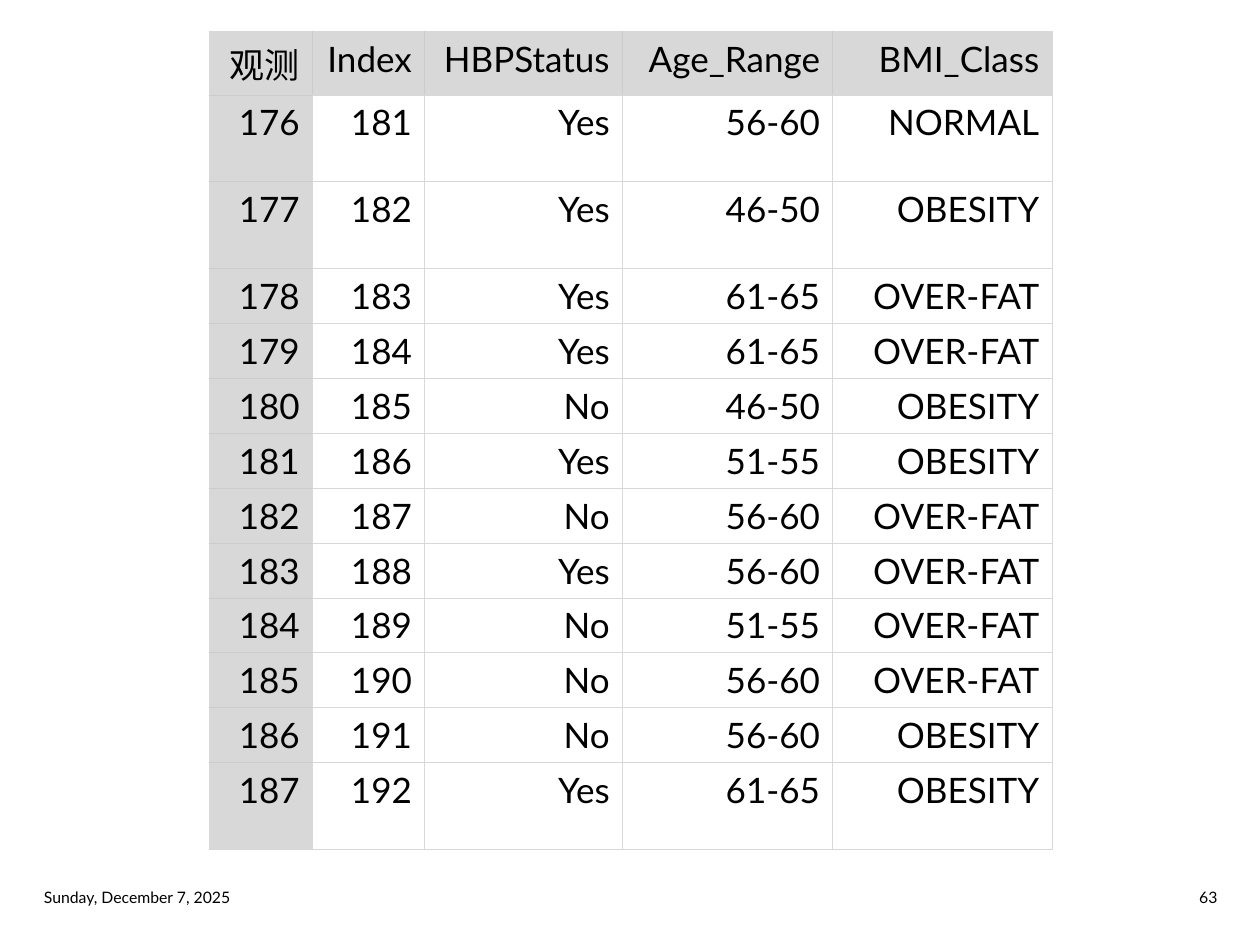
from dataclasses import dataclass

from lxml.etree import SubElement
from pptx import Presentation
from pptx.dml.color import RGBColor
from pptx.enum.text import MSO_ANCHOR, PP_ALIGN
from pptx.oxml.ns import qn
from pptx.util import Inches, Pt

FONT = "Lato"
COLORS = {"text": "000000", "header": "D8D8D8", "grid": "D8D8D8", "header_grid": "CCCCCC"}
COLUMN_WIDTHS = [0.82, 0.89, 1.57, 1.67, 1.74]
SHORT_ROW, TALL_ROW = 0.42, 0.69
HEADINGS = ("观测", "Index", "HBPStatus", "Age_Range", "BMI_Class")
FIRST_OBSERVATION, FIRST_INDEX = 176, 181


@dataclass
class Person:
    hbp_status: str
    age_range: str
    bmi_class: str
    height: float = SHORT_ROW


@dataclass
class FooterField:
    text: str
    left: float
    align: PP_ALIGN


PEOPLE = [
    Person("Yes", "56-60", "NORMAL", TALL_ROW),
    Person("Yes", "46-50", "OBESITY", TALL_ROW),
    Person("Yes", "61-65", "OVER-FAT"),
    Person("Yes", "61-65", "OVER-FAT"),
    Person("No", "46-50", "OBESITY"),
    Person("Yes", "51-55", "OBESITY"),
    Person("No", "56-60", "OVER-FAT"),
    Person("Yes", "56-60", "OVER-FAT"),
    Person("No", "51-55", "OVER-FAT"),
    Person("No", "56-60", "OVER-FAT"),
    Person("No", "56-60", "OBESITY"),
    Person("Yes", "61-65", "OBESITY", TALL_ROW),
]
FOOTER = [
    FooterField("Sunday, December 7, 2025", 0.25, PP_ALIGN.LEFT),
    FooterField("63", 7.38, PP_ALIGN.RIGHT),
]


def write_text(text_frame, text: str, *, size: float, align: PP_ALIGN) -> None:
    paragraph = text_frame.paragraphs[0]
    paragraph.alignment = align
    run = paragraph.add_run()
    run.text = text
    run.font.name = FONT
    run.font.size = Pt(size)
    run.font.color.rgb = RGBColor.from_string(COLORS["text"])


def set_borders(cell, edge_colors: dict[str, str]) -> None:
    properties = cell._tc.get_or_add_tcPr()
    for position, (edge, color) in enumerate(edge_colors.items()):
        line = properties.makeelement(qn(f"a:ln{edge}"), {"w": str(Pt(0.5))})
        fill = SubElement(line, qn("a:solidFill"))
        SubElement(fill, qn("a:srgbClr"), val=color)
        properties.insert(position, line)


def format_cell(cell, row: int, column: int, last_row: int, last_column: int) -> None:
    is_header = row == 0 or column == 0
    if is_header:
        cell.fill.solid()
        cell.fill.fore_color.rgb = RGBColor.from_string(COLORS["header"])
    else:
        cell.fill.background()
    inner = COLORS["header_grid" if is_header else "grid"]
    on_outline = {
        "L": column == 0,
        "R": column == last_column,
        "T": row == 0,
        "B": row == last_row,
    }
    set_borders(cell, {edge: COLORS["grid"] if outer else inner for edge, outer in on_outline.items()})


def add_observation_table(slide) -> None:
    rows = [HEADINGS] + [
        (str(FIRST_OBSERVATION + offset), str(FIRST_INDEX + offset),
         person.hbp_status, person.age_range, person.bmi_class)
        for offset, person in enumerate(PEOPLE)
    ]
    heights = [SHORT_ROW] + [person.height for person in PEOPLE]
    table = slide.shapes.add_table(
        len(rows), len(HEADINGS), Inches(1.66), Inches(0.25),
        Inches(sum(COLUMN_WIDTHS)), Inches(sum(heights)),
    ).table
    table.first_row = False
    table.horz_banding = False
    for column, width in zip(table.columns, COLUMN_WIDTHS):
        column.width = Inches(width)
    for row, height in zip(table.rows, heights):
        row.height = Inches(height)
    for row_number, values in enumerate(rows):
        for column_number, value in enumerate(values):
            cell = table.cell(row_number, column_number)
            write_text(cell.text_frame, value, size=20, align=PP_ALIGN.RIGHT)
            format_cell(cell, row_number, column_number, len(rows) - 1, len(HEADINGS) - 1)


def add_footer_field(slide, field: FooterField) -> None:
    shape = slide.shapes.add_textbox(Inches(field.left), Inches(6.99), Inches(2.38), Inches(0.26))
    text_frame = shape.text_frame
    text_frame.word_wrap = True
    text_frame.vertical_anchor = MSO_ANCHOR.MIDDLE
    write_text(text_frame, field.text, size=9, align=field.align)


def main() -> None:
    presentation = Presentation()
    presentation.slide_width = Inches(10)
    presentation.slide_height = Inches(7.5)
    slide = presentation.slides.add_slide(presentation.slide_layouts[6])
    add_observation_table(slide)
    for field in FOOTER:
        add_footer_field(slide, field)
    presentation.save("out.pptx")


if __name__ == "__main__":
    main()
